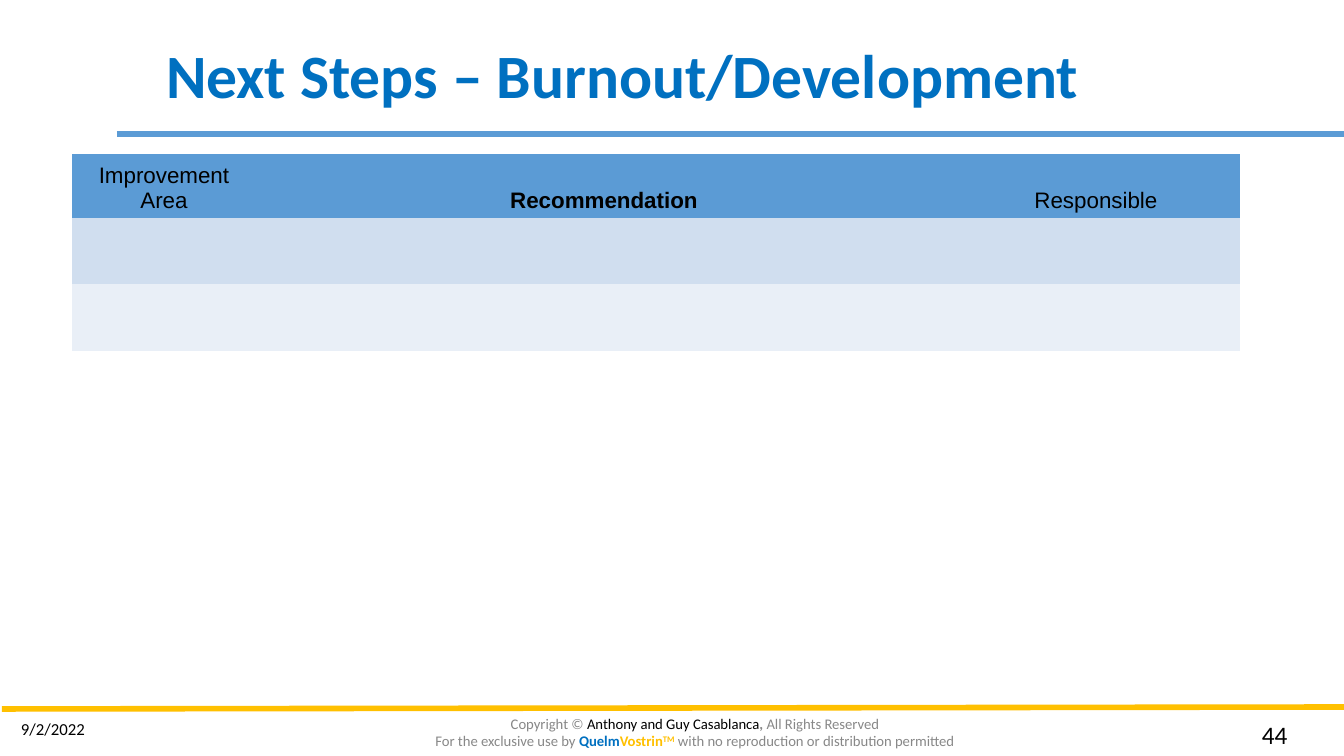
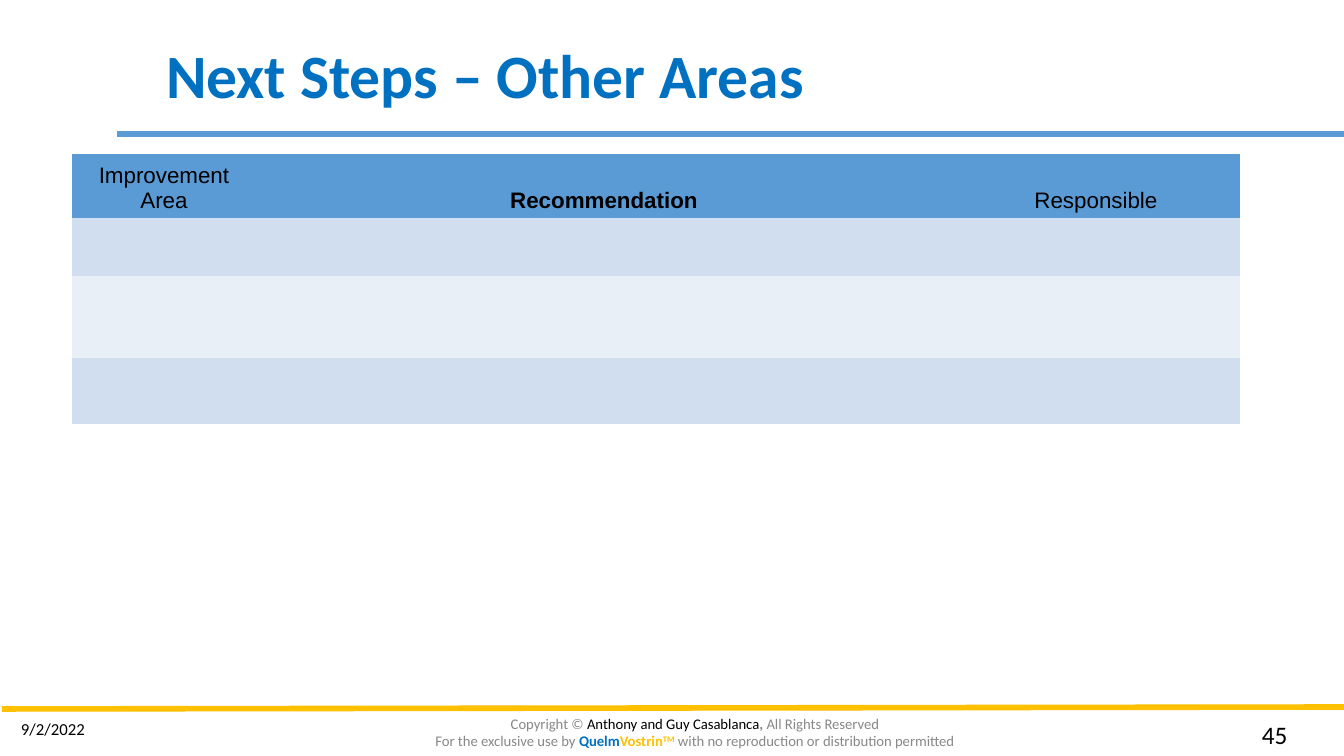
import pptx
import pptx.dml.color
import pptx.enum.shapes
import pptx.enum.text
import pptx.oxml.ns
import pptx.util
from lxml import etree

RGBColor = pptx.dml.color.RGBColor
ALIGN = pptx.enum.text.PP_ALIGN
ANCHOR = pptx.enum.text.MSO_ANCHOR

# Colours
BLUE = RGBColor(0x00, 0x70, 0xC0)
HEADER_BLUE = RGBColor(0x5B, 0x9B, 0xD5)
BAND_DARK = RGBColor(0xD0, 0xDE, 0xEF)
BAND_LIGHT = RGBColor(0xE9, 0xEF, 0xF7)
GOLD = RGBColor(0xFF, 0xC0, 0x00)
GREY = RGBColor(0x88, 0x88, 0x88)
BLACK = RGBColor(0x00, 0x00, 0x00)

PX_PER_INCH = 100.8
SLIDE_SIZE = (1344, 756)
NO_GRID_STYLE = "{2D5ABB26-0587-4C30-8999-92F81FD0307C}"

# Shared content
DATE = "9/2/2022"
FIRST_NUMBER = 44
COPYRIGHT = [
    [("Copyright © ", {}),
     ("Anthony and Guy Casablanca", {"color": BLACK}),
     (", ", {"bold": True}),
     ("All Rights Reserved", {})],
    [("For the exclusive use by ", {}),
     ("Quelm", {"color": BLUE, "bold": True}),
     ("Vostrin", {"color": GOLD, "bold": True}),
     ("TM", {"color": GOLD, "bold": True, "raised": True}),
     (" with no reproduction or distribution permitted", {})],
]
HEADINGS = [("Improvement Area", False), ("Recommendation", True), ("Responsible", False)]
COLUMN_WIDTHS = [184, 696, 288]
HEADER_HEIGHT = 60

# Title and heights of the empty rows on each slide
SLIDES = [
    ("Next Steps – Burnout/Development", [66, 67]),
    ("Next Steps – Other Areas", [58, 82, 66]),
]


def px(length):
    return pptx.util.Emu(round(length * 914400 / PX_PER_INCH))


def add_text(paragraph, text, *, size, font="Calibri", color=BLACK, bold=False,
             align=ALIGN.LEFT, raised=False):
    paragraph.alignment = align
    run = paragraph.add_run()
    run.text = text
    run.font.size = pptx.util.Pt(size)
    run.font.name = font
    run.font.bold = bold
    run.font.color.rgb = color
    if raised:
        run._r.get_or_add_rPr().set("baseline", "30000")


def add_rule(slide, start, end, color):
    rule = slide.shapes.add_connector(
        pptx.enum.shapes.MSO_CONNECTOR.STRAIGHT, *map(px, start + end))
    rule.line.color.rgb = color
    rule.line.width = pptx.util.Pt(4)
    etree.SubElement(rule._element.spPr, pptx.oxml.ns.qn("a:effectLst"))


def add_box(slide, left, top, width, height, anchor=ANCHOR.TOP):
    frame = slide.shapes.add_textbox(*map(px, (left, top, width, height))).text_frame
    frame.word_wrap = True
    frame.vertical_anchor = anchor
    return frame


def set_title(slide, text):
    title = slide.shapes.title
    title.left, title.top, title.width, title.height = map(px, (156, 32, 1159, 94))
    frame = title.text_frame
    frame.auto_size = pptx.enum.text.MSO_AUTO_SIZE.NONE
    frame.vertical_anchor = ANCHOR.MIDDLE
    frame.paragraphs[0].line_spacing = 0.9
    add_text(frame.paragraphs[0], text, size=44, color=BLUE, bold=True)


def add_rules_and_footer(slide, number):
    add_rule(slide, (117, 134), (1344, 134), HEADER_BLUE)
    add_rule(slide, (2, 709), (1344, 707), GOLD)

    notice = add_box(slide, 191, 712, 1008, 40, ANCHOR.MIDDLE)
    notice.add_paragraph()
    for paragraph, pieces in zip(notice.paragraphs, COPYRIGHT):
        for text, look in pieces:
            add_text(paragraph, text,
                     **{"size": 10.5, "color": GREY, "align": ALIGN.CENTER, **look})

    add_text(add_box(slide, 11, 714, 141, 40).paragraphs[0], DATE, size=12)
    add_text(add_box(slide, 1252, 714, 85, 40).paragraphs[0], str(number), size=18)


def add_action_table(slide, empty_heights):
    heights = [HEADER_HEIGHT] + empty_heights
    table = slide.shapes.add_table(
        len(heights), len(COLUMN_WIDTHS), px(72), px(154),
        px(sum(COLUMN_WIDTHS)), px(sum(heights))).table
    table._tbl.tblPr.find(pptx.oxml.ns.qn("a:tableStyleId")).text = NO_GRID_STYLE

    for column, width in zip(table.columns, COLUMN_WIDTHS):
        column.width = px(width)
    for index, (row, height) in enumerate(zip(table.rows, heights)):
        row.height = px(height)
        band = BAND_DARK if index % 2 else BAND_LIGHT
        for cell in row.cells:
            cell.fill.solid()
            cell.fill.fore_color.rgb = band if index else HEADER_BLUE

    # Column headings
    for cell, (heading, bold) in zip(table.rows[0].cells, HEADINGS):
        cell.vertical_anchor = ANCHOR.BOTTOM
        add_text(cell.text_frame.paragraphs[0], heading, size=16, font="Arial",
                 bold=bold, align=ALIGN.CENTER)


def main():
    deck = pptx.Presentation()
    deck.slide_width, deck.slide_height = map(px, SLIDE_SIZE)
    title_only = deck.slide_layouts.get_by_name("Title Only")
    for number, (title, empty_heights) in enumerate(SLIDES, FIRST_NUMBER):
        slide = deck.slides.add_slide(title_only)
        add_rules_and_footer(slide, number)
        set_title(slide, title)
        add_action_table(slide, empty_heights)
    deck.save("out.pptx")


if __name__ == "__main__":
    main()
